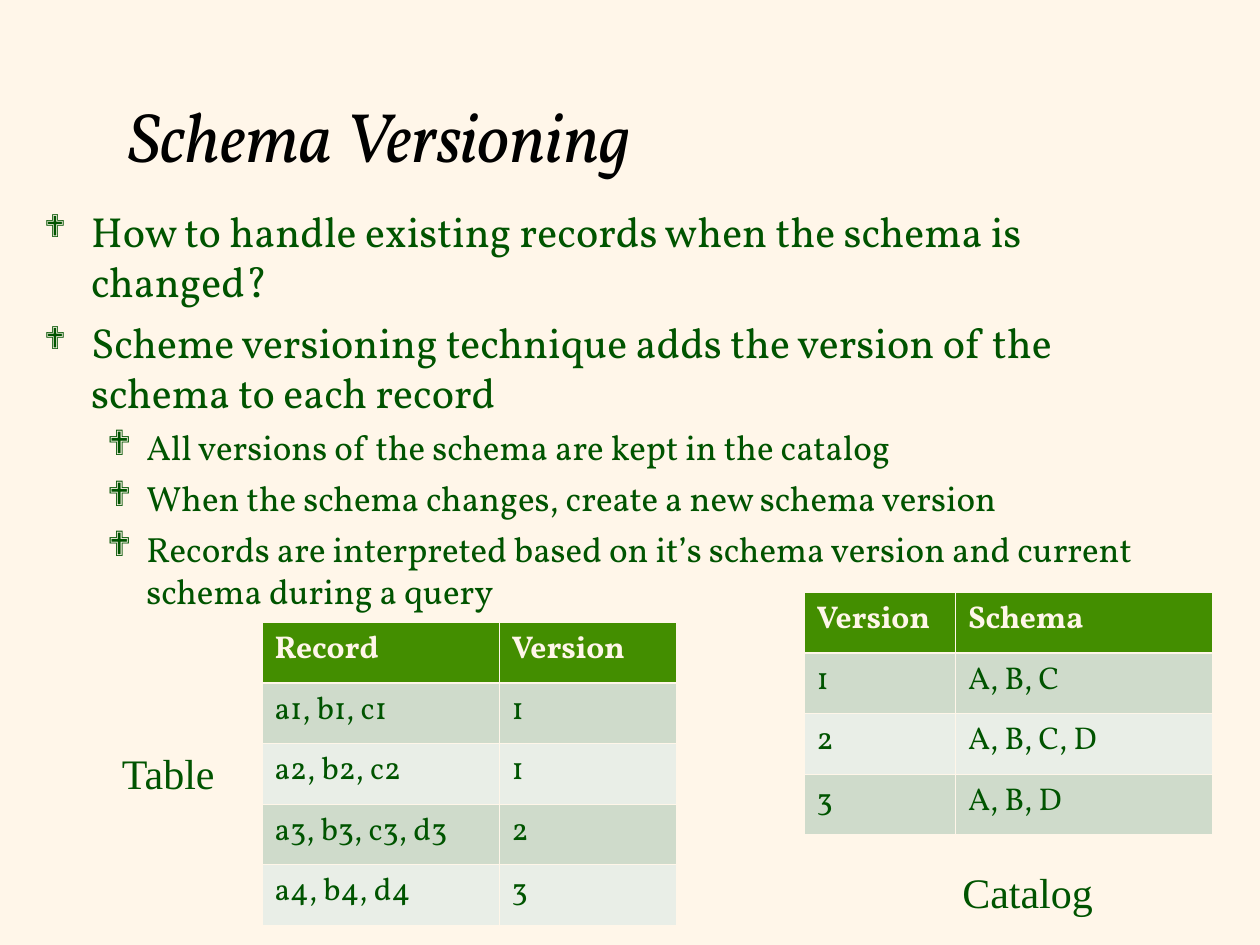
from lxml.etree import SubElement
from pptx import Presentation
from pptx.dml.color import RGBColor
from pptx.enum.text import MSO_ANCHOR, MSO_AUTO_SIZE
from pptx.oxml import parse_xml
from pptx.oxml.ns import nsdecls, qn
from pptx.util import Cm, Pt

COLORS = {"cream": "FFF6E9", "black": "000000", "text": "005400",
          "header": "438E00", "odd": "CFDBCB", "even": "E9EEE7"}

TITLE = "Schema Versioning"
POINTS = [
    (0, "How to handle existing records when the schema is changed?"),
    (0, "Scheme versioning technique adds the version of the schema to each record"),
    (1, "All versions of the schema are kept in the catalog"),
    (1, "When the schema changes, create a new schema version"),
    (1, "Records are interpreted based on it’s schema version and current schema during a query"),
]
# Per level: left margin and hanging indent (cm), space before (pt), bullet size (%)
LEVELS = [
    {"margin": 0.95, "hang": 0.95, "before": 6, "bullet": 75, "size": 24},
    {"margin": 2.06, "hang": 0.79, "before": 5, "bullet": 100, "size": 20},
]
TABLES = [
    {"at": (16.21, 11.94), "widths": (3.05, 5.18),
     "rows": [("Version", "Schema"), ("1", "A, B, C"), ("2", "A, B, C, D"), ("3", "A, B, D")]},
    {"at": (5.28, 12.55), "widths": (4.78, 3.58),
     "rows": [("Record", "Version"), ("a1, b1, c1", "1"), ("a2, b2, c2", "1"),
              ("a3, b3, c3, d3", "2"), ("a4, b4, d4", "3")]},
]
LABELS = [("Table", (2.21, 14.94, 2.5, 1.27)), ("Catalog", (19.15, 17.35, 3.25, 1.27))]
ROW_HEIGHT = 1.22
THIN, THICK = 0.45, 1.47

TITLE_FORMAT = {"name": "Vollkorn", "size": Pt(40), "italic": True}
LABEL_FORMAT = {"name": "Times New Roman", "size": Pt(24)}
CELL_FORMAT = {"name": "Vollkorn", "size": Pt(18)}


def rgb(color):
    return RGBColor.from_string(COLORS[color])


def write(paragraph, text, formats, color="text"):
    run = paragraph.add_run()
    run.text = text
    for attribute, value in formats.items():
        setattr(run.font, attribute, value)
    run.font.color.rgb = rgb(color)


def add_frame(slide, box, **settings):
    frame = slide.shapes.add_textbox(*map(Cm, box)).text_frame
    for attribute, value in ({"word_wrap": True} | settings).items():
        setattr(frame, attribute, value)
    return frame


def add_bullet(paragraph, level):
    properties = paragraph._p.get_or_add_pPr()
    properties.set("marL", str(Cm(level["margin"])))
    properties.set("indent", str(-Cm(level["hang"])))
    bullet_color = SubElement(properties, qn("a:buClr"))
    SubElement(bullet_color, qn("a:srgbClr"), val=COLORS["text"])
    SubElement(properties, qn("a:buSzPct"), val=str(level["bullet"] * 1000))
    SubElement(properties, qn("a:buFont"), typeface="Wingdings")
    SubElement(properties, qn("a:buChar"), char="❖")


def add_points(slide):
    frame = add_frame(slide, (0.64, 4.01, 23.06, 12.9))
    for index, (depth, text) in enumerate(POINTS):
        level = LEVELS[depth]
        paragraph = frame.add_paragraph() if index else frame.paragraphs[0]
        paragraph.level = depth
        add_bullet(paragraph, level)
        if index:
            paragraph.space_before = Pt(level["before"])
        write(paragraph, text, {"name": "Vollkorn", "size": Pt(level["size"])})


def set_borders(cell, row):
    """Thin cream lines, with a thick one between header and body."""
    widths = {"L": THIN, "R": THIN,
              "T": THICK if row == 1 else THIN, "B": THICK if row == 0 else THIN}
    properties = cell._tc.get_or_add_tcPr()
    for place, (side, width) in enumerate(widths.items()):
        properties.insert(place, parse_xml(
            f'<a:ln{side} {nsdecls("a")} w="{Pt(width)}"><a:solidFill>'
            f'<a:srgbClr val="{COLORS["cream"]}"/></a:solidFill></a:ln{side}>'))


def add_data_table(slide, at, widths, rows):
    size = (sum(widths), ROW_HEIGHT * len(rows))
    table = slide.shapes.add_table(len(rows), len(widths), *map(Cm, at + size)).table
    for column, width in zip(table.columns, widths):
        column.width = Cm(width)
    for r, values in enumerate(rows):
        table.rows[r].height = Cm(ROW_HEIGHT)
        header = r == 0
        fill = "header" if header else ("even", "odd")[r % 2]
        for c, value in enumerate(values):
            cell = table.cell(r, c)
            cell.fill.solid()
            cell.fill.fore_color.rgb = rgb(fill)
            set_borders(cell, r)
            write(cell.text_frame.paragraphs[0], value, CELL_FORMAT | {"bold": header},
                  "cream" if header else "text")


def main():
    deck = Presentation()
    deck.slide_width, deck.slide_height = Cm(25.4), Cm(19.05)
    slide = deck.slides.add_slide(deck.slide_layouts[6])
    slide.background.fill.solid()
    slide.background.fill.fore_color.rgb = rgb("cream")

    title = add_frame(slide, (2.34, 1.17, 21.59, 3.07), vertical_anchor=MSO_ANCHOR.MIDDLE)
    write(title.paragraphs[0], TITLE, TITLE_FORMAT, "black")
    add_points(slide)
    for table in TABLES:
        add_data_table(slide, **table)
    for label, box in LABELS:
        frame = add_frame(slide, box, word_wrap=False, auto_size=MSO_AUTO_SIZE.SHAPE_TO_FIT_TEXT)
        write(frame.paragraphs[0], label, LABEL_FORMAT)
    deck.save("out.pptx")


if __name__ == "__main__":
    main()
